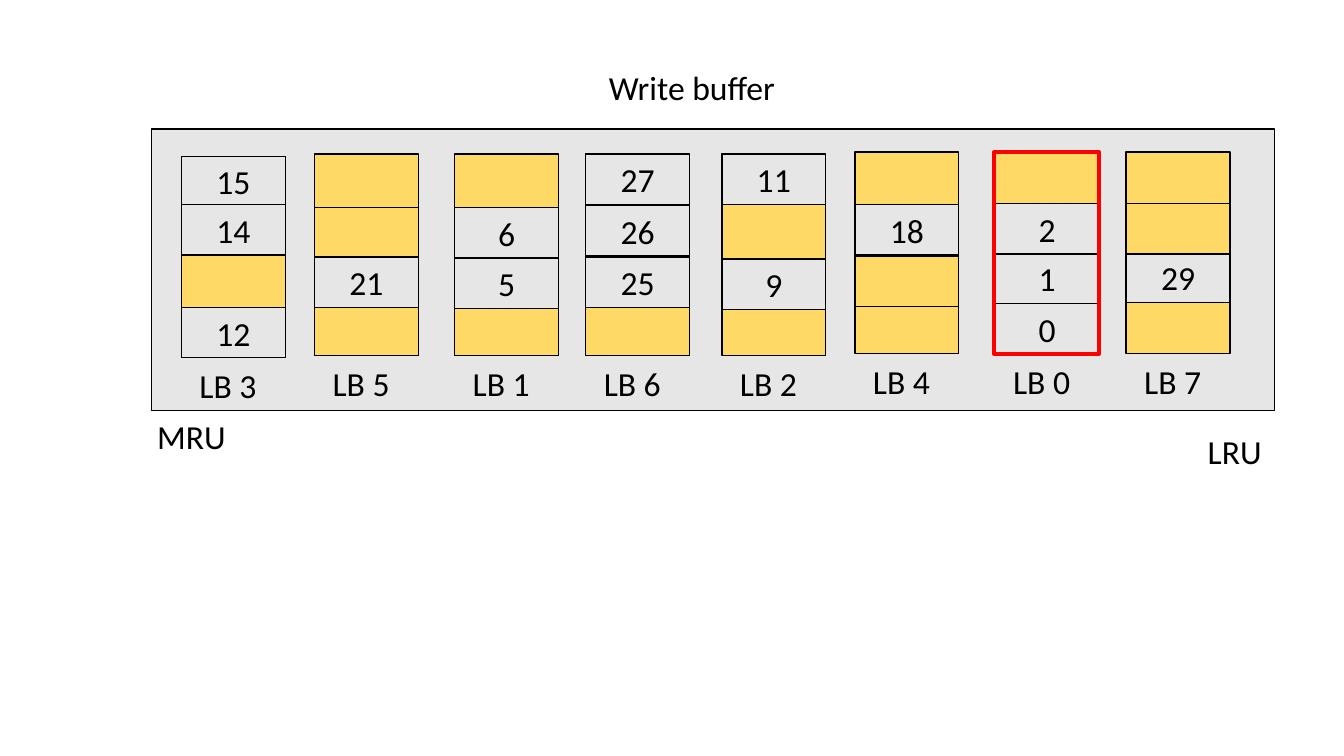
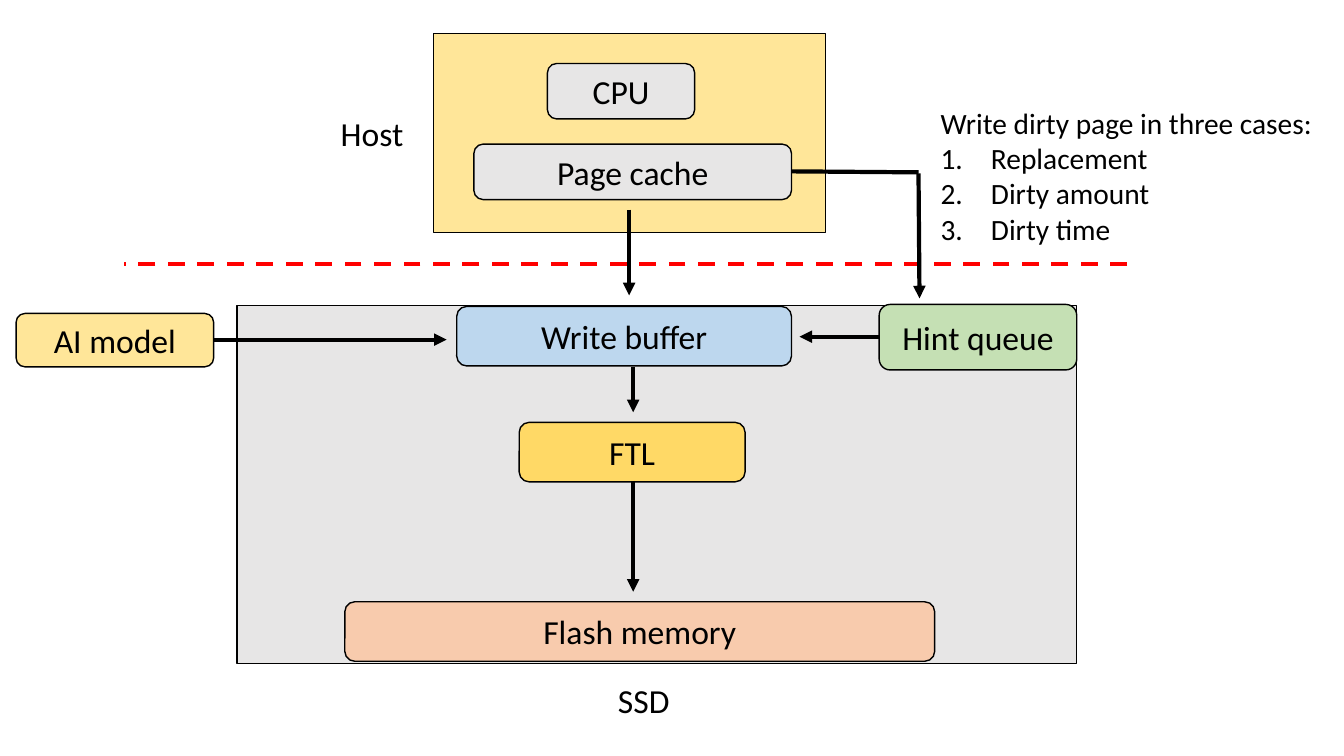
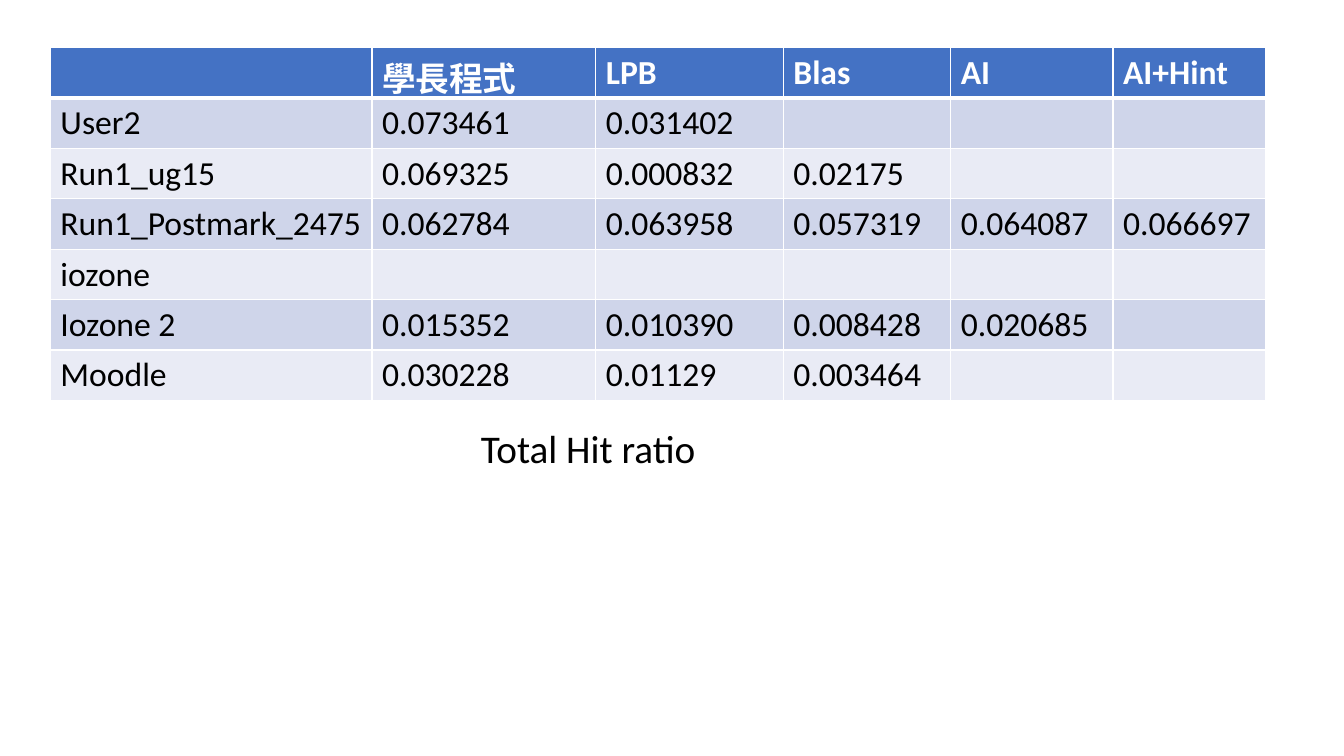
from lxml import etree
from pptx import Presentation, util as u
from pptx.dml.color import RGBColor
from pptx.enum import dml, shapes, text
from pptx.oxml.ns import qn

PX = 9144
FONT = "Calibri"
BLACK = RGBColor(0x00, 0x00, 0x00)
WHITE = RGBColor(0xFF, 0xFF, 0xFF)
RED = RGBColor(0xFF, 0x00, 0x00)
GRAY = RGBColor(0xE7, 0xE6, 0xE6)
GOLD = RGBColor(0xFF, 0xD9, 0x66)
CREAM = RGBColor(0xFF, 0xE6, 0x99)
GREEN = RGBColor(0xC5, 0xE0, 0xB4)
BLUE = RGBColor(0xBD, 0xD7, 0xEE)
PEACH = RGBColor(0xF8, 0xCB, 0xAD)
HEADER = RGBColor(0x44, 0x72, 0xC4)
BAND_DARK = RGBColor(0xCF, 0xD5, 0xEA)
BAND_LIGHT = RGBColor(0xE9, 0xEB, 0xF5)
RECT = shapes.MSO_SHAPE.RECTANGLE
ROUND = shapes.MSO_SHAPE.ROUNDED_RECTANGLE


def add_box(s, at, label="", fill=None, preset=None, edge=BLACK, width=1, size=24):
    at = [v * PX for v in at]
    if preset is None:
        sp = s.shapes.add_textbox(*at)
    else:
        sp = s.shapes.add_shape(preset, *at)
        sp.shadow.inherit = False
        sp.line.color.rgb = edge
        sp.line.width = u.Pt(width)
        if fill is None:
            sp.fill.background()
        else:
            sp.fill.solid()
            sp.fill.fore_color.rgb = fill
    tf = sp.text_frame
    tf.word_wrap = True
    tf.text = label
    for i, p in enumerate(tf.paragraphs):
        if preset is not None:
            p.alignment = text.PP_ALIGN.CENTER
        elif i:
            pPr = p._p.get_or_add_pPr()
            pPr.set("marL", "457200")
            pPr.set("indent", "-457200")
            etree.SubElement(pPr, qn("a:buFont"), typeface="+mj-lt")
            etree.SubElement(pPr, qn("a:buAutoNum"), type="arabicPeriod")
        for r in p.runs:
            r.font.name = FONT
            r.font.size = u.Pt(size)
            r.font.color.rgb = BLACK
    return sp


def add_line(s, ends, color=BLACK, arrow=True):
    cn = s.shapes.add_connector(shapes.MSO_CONNECTOR.STRAIGHT, *[v * PX for v in ends])
    cn.line.color.rgb = color
    cn.line.width = u.Pt(3)
    if arrow:
        etree.SubElement(cn.line._get_or_add_ln(), qn("a:tailEnd"), type="triangle")
    etree.SubElement(cn._element.spPr, qn("a:effectLst"))
    return cn


prs = Presentation()
prs.slide_width = 1333 * PX
prs.slide_height = 750 * PX
blank = prs.slide_layouts[6]

s = prs.slides.add_slide(blank)
add_box(s, (150, 128, 1114, 279), "", GRAY, RECT)
blocks = [
    ("LB 3", 180, 155, [(0, "15"), (48, "14"), (150, "12")]),
    ("LB 5", 312, 153, [(53, ""), (102, "21")]),
    ("LB 1", 451, 153, [(53, "6"), (103, "5")]),
    ("LB 6", 581, 153, [(0, "27"), (102, "25"), (51, "26")]),
    ("LB 2", 716, 153, [(104, "9"), (0, "11")]),
    ("LB 4", 848, 151, [(52, "18"), (103, "")]),
    ("LB 0", 987, 151, [(100, "1"), (51, "2"), (150, "0")]),
    ("LB 7", 1117, 151, [(99, "29"), (51, "")]),
]
for name, x, y, pages in blocks:
    add_box(s, (x, y, 103, 200), "", GOLD, RECT)
    for dy, page in pages:
        add_box(s, (x, y + dy, 103, 50), page, GRAY if page else GOLD, RECT)
    add_box(s, (x + 8, y + 202, 95, 50), name)
add_box(s, (146, 408, 95, 50), "MRU")
add_box(s, (1188, 423, 95, 50), "LRU")
add_box(s, (594, 61, 197, 50), "Write buffer")
add_box(s, (986, 151, 104, 200), "", None, RECT, RED, 3)

s = prs.slides.add_slide(blank)
add_box(s, (430, 33, 389, 198), "", CREAM, RECT)
border = add_line(s, (1118, 262, 123, 262), RED, arrow=False)
border.line.dash_style = dml.MSO_LINE.DASH
add_box(s, (235, 303, 833, 355), "", GRAY, RECT)
for at, name, fill in [
    ((543, 63, 146, 55), "CPU", GRAY),
    ((470, 143, 315, 55), "Page cache", GRAY),
    ((872, 302, 196, 65), "Hint queue", GREEN),
    ((453, 304, 332, 59), "Write buffer", BLUE),
    ((16, 311, 196, 53), "AI model", CREAM),
    ((515, 419, 224, 59), "FTL", GOLD),
    ((342, 597, 585, 59), "Flash memory", PEACH),
]:
    add_box(s, at, name, fill, ROUND)
add_line(s, (785, 170, 911, 171), arrow=False)
for ends in [
    (212, 337, 443, 337),
    (624, 208, 624, 293),
    (628, 364, 628, 409),
    (911, 172, 912, 296),
    (872, 334, 793, 334),
    (628, 477, 628, 587),
]:
    add_line(s, ends)
add_box(s, (328, 107, 92, 50), "Host")
add_box(s, (603, 670, 92, 50), "SSD")
cases = "Write dirty page in three cases:\nReplacement\nDirty amount\nDirty time"
add_box(s, (923, 99, 395, 151), cases, size=21)

s = prs.slides.add_slide(blank)
add_box(s, (467, 416, 272, 57), "Total Hit ratio", size=28)
rows = [
    ["", "學長程式", "LPB", "Blas", "AI", "AI+Hint"],
    ["User2", "0.073461", "0.031402", "", "", ""],
    ["Run1_ug15", "0.069325", "0.000832", "0.02175", "", ""],
    ["Run1_Postmark_2475", "0.062784", "0.063958", "0.057319", "0.064087", "0.066697"],
    ["iozone", "", "", "", "", ""],
    ["Iozone 2", "0.015352", "0.010390", "0.008428", "0.020685", ""],
    ["Moodle", "0.030228", "0.01129", "0.003464", "", ""],
]
widths = [319, 222, 186, 166, 161, 151]
tb = s.shapes.add_table(len(rows), len(widths), 50 * PX, 47 * PX, sum(widths) * PX, 350 * PX).table
for col, w in zip(tb.columns, widths):
    col.width = w * PX
for i, values in enumerate(rows):
    tb.rows[i].height = 50 * PX
    for j, value in enumerate(values):
        cell = tb.cell(i, j)
        tcPr = cell._tc.get_or_add_tcPr()
        for side in ("lnL", "lnR", "lnT", "lnB"):
            thick = (i, side) in ((0, "lnB"), (1, "lnT"))
            ln = etree.SubElement(tcPr, qn("a:" + side), w=str(u.Pt(3 if thick else 1)))
            solid = etree.SubElement(ln, qn("a:solidFill"))
            etree.SubElement(solid, qn("a:srgbClr"), val=str(WHITE))
        cell.fill.solid()
        cell.fill.fore_color.rgb = HEADER if i == 0 else BAND_DARK if i % 2 else BAND_LIGHT
        p = cell.text_frame.paragraphs[0]
        p.text = value
        for r in p.runs:
            r.font.name = FONT
            r.font.size = u.Pt(24)
            r.font.bold = i == 0
            r.font.color.rgb = BLACK if i else WHITE

prs.save("out.pptx")
